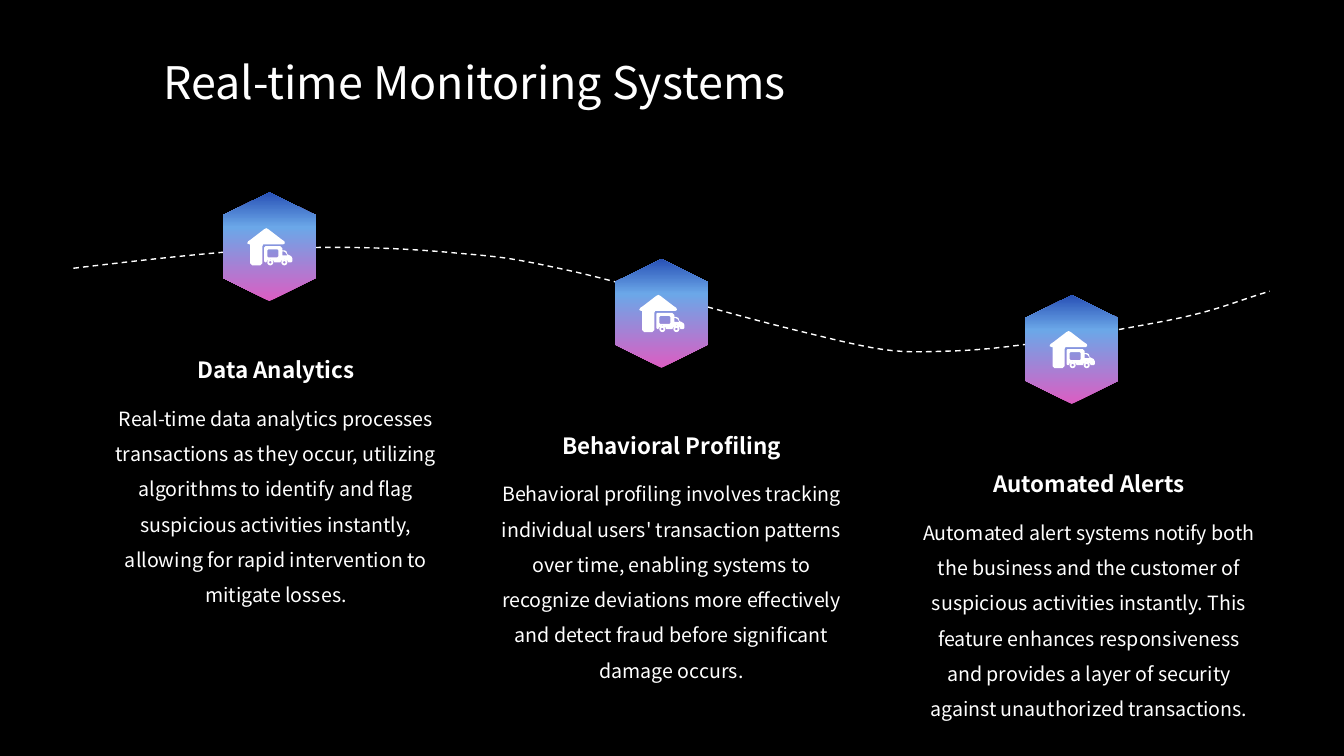
import copy
import math
import pptx
import pptx.util
import pptx.dml.color
import pptx.enum.dml
import pptx.enum.text

Cm = pptx.util.Cm
Pt = pptx.util.Pt
RGBColor = pptx.dml.color.RGBColor
ANCHOR = pptx.enum.text.MSO_ANCHOR
ALIGN = pptx.enum.text.PP_ALIGN

WHITE = RGBColor(0xFF, 0xFF, 0xFF)
BLACK = RGBColor(0, 0, 0)
PINK = RGBColor(0xDC, 0x5D, 0xC2)
SKY = RGBColor(0x6B, 0xA7, 0xE8)
BLUE = RGBColor(0x28, 0x51, 0xB6)
FONT = "Noto Sans CJK SC"

WAVE = [
    (1.85, 6.76), (3.81, 6.53), (5.79, 6.3), (7.39, 6.25),
    (9.02, 6.2), (10.36, 6.27), (11.53, 6.38),
    (12.7, 6.48), (12.9, 6.5), (14.4, 6.83),
    (15.88, 7.16), (18.36, 7.92), (20.42, 8.41),
    (22.48, 8.92), (22.63, 8.89), (24.13, 8.84),
    (25.63, 8.79), (28.09, 8.33), (29.41, 8.08),
    (30.73, 7.82), (31.14, 7.59), (32, 7.34),
]
HEX = [(1.18, 2.74), (0, 2.15), (0, 0.58), (1.18, 0), (2.36, 0.58), (2.36, 2.15)]
HOUSE = [(19, 0), (21, 1), (34, 11), (37, 13), (37.5, 15), (36, 16), (16, 16),
         (15, 18), (15, 35), (13, 37), (5, 37), (3, 35), (3, 16), (2, 16),
         (0, 15), (1, 13), (4, 11), (17, 1)]
TRUCK = [(18, 18), (33, 18), (35, 20), (35, 22), (37, 22), (39, 23), (40, 26),
         (42, 27), (44, 28), (45, 30), (45, 33), (44, 34), (41, 34), (40, 32),
         (37, 30.5), (34, 32), (33, 34), (27, 34), (26, 32), (23, 30.5),
         (20, 32), (19, 34), (18, 34), (17, 33), (17, 19)]
GLASS = [(21, 21), (30, 21), (31, 22), (31, 28), (30, 29), (21, 29), (20, 28), (20, 22)]
CAB = [(35, 23), (35, 27), (40, 27), (38, 24), (36, 23)]

STEPS = [
    (5.61, 4.85, 2.41, 8.84, "Data Analytics",
     "Real-time data analytics processes transactions as they occur, utilizing "
     "algorithms to identify and flag suspicious activities instantly, allowing "
     "for rapid intervention to mitigate losses."),
    (15.49, 6.53, 12.38, 10.74, "Behavioral Profiling",
     "Behavioral profiling involves tracking individual users' transaction patterns "
     "over time, enabling systems to recognize deviations more effectively and "
     "detect fraud before significant damage occurs."),
    (25.83, 7.44, 22.9, 11.71, "Automated Alerts",
     "Automated alert systems notify both the business and the customer of "
     "suspicious activities instantly. This feature enhances responsiveness and "
     "provides a layer of security against unauthorized transactions."),
]


def curve(nodes, count=12):
    dots = [nodes[0]]
    for i in range(0, len(nodes) - 1, 3):
        a, b, c, d = nodes[i:i + 4]
        for k in range(1, count + 1):
            t = k / count
            u = 1 - t
            dots.append(tuple(
                u ** 3 * p + 3 * u * u * t * q + 3 * u * t * t * r + t ** 3 * s
                for p, q, r, s in zip(a, b, c, d)))
    return dots


def ring(x, y, r):
    turns = [math.tau * k / 16 for k in range(16)]
    return [(x + r * math.cos(t), y + r * math.sin(t)) for t in turns]


def trace(shapes, loops, left=0, top=0, unit=1, close=True):
    paths = [[(Cm(left + x * unit), Cm(top + y * unit)) for x, y in loop] for loop in loops]
    pen = shapes.build_freeform(*paths[0][0], scale=1.0)
    pen.add_line_segments(paths[0][1:], close=close)
    for path in paths[1:]:
        pen.move_to(*path[0])
        pen.add_line_segments(path[1:], close=close)
    shape = pen.convert_to_shape()
    shape.shadow.inherit = False
    return shape


def write(shape, text, size, bold=False, align=ALIGN.LEFT, anchor=ANCHOR.TOP, space=None):
    frame = shape.text_frame
    frame.word_wrap = True
    frame.auto_size = pptx.enum.text.MSO_AUTO_SIZE.SHAPE_TO_FIT_TEXT
    frame.vertical_anchor = anchor
    frame.text = text
    para = frame.paragraphs[0]
    para.alignment = align
    para.line_spacing = space
    para.font.name = FONT
    para.font.size = Pt(size)
    para.font.bold = bold
    para.font.color.rgb = WHITE


def head(slide, left, top, width, height):
    title = slide.shapes.title
    title.left, title.top, title.width, title.height = map(Cm, (left, top, width, height))
    write(title, "Real-time Monitoring Systems", 32)


def wave(slide):
    line = trace(slide.shapes, [curve(WAVE)], close=False)
    line.fill.background()
    line.line.color.rgb = WHITE
    line.line.width = Pt(1)
    line.line.dash_style = pptx.enum.dml.MSO_LINE.DASH


def badge(slide, left, top):
    group = slide.shapes.add_group_shape()
    tile = trace(group.shapes, [HEX], left, top)
    tile.line.fill.background()
    tile.fill.gradient()
    tile.fill.gradient_angle = 90
    stops = tile.element.spPr.find(".//" + pptx.oxml.ns.qn("a:gsLst"))
    stops.insert(1, copy.deepcopy(stops[0]))
    for stop, spot, color in zip(tile.fill.gradient_stops, (0, 0.68, 1), (PINK, SKY, BLUE)):
        stop.position = spot
        stop.color.rgb = color
    wheels = [ring(x, 34, r) for x in (23, 37) for r in (3, 1.2)]
    icon = trace(group.shapes, [HOUSE, TRUCK, GLASS, CAB] + wheels,
                 left + 0.62, top + 0.9, 1.14 / 45)
    icon.fill.solid()
    icon.fill.fore_color.rgb = WHITE
    icon.line.fill.background()


def words(slide, left, top, name, body):
    label = slide.shapes.add_textbox(Cm(left), Cm(top), Cm(9.09), Cm(0.94))
    write(label, name, 16, True, ALIGN.CENTER, ANCHOR.BOTTOM)
    note = slide.shapes.add_textbox(Cm(left), Cm(top + 0.99), Cm(9.09), Cm(5.54))
    write(note, body, 14, align=ALIGN.CENTER, space=1.5)


def main():
    deck = pptx.Presentation()
    deck.slide_width, deck.slide_height = Cm(33.87), Cm(19.05)
    slide = deck.slides.add_slide(deck.slide_layouts[5])
    slide.background.fill.solid()
    slide.background.fill.fore_color.rgb = BLACK
    head(slide, 3.86, 1.24, 19.79, 1.63)
    wave(slide)
    for x, y, left, top, name, body in STEPS:
        badge(slide, x, y)
        words(slide, left, top, name, body)
    deck.save("out.pptx")


if __name__ == "__main__":
    main()
